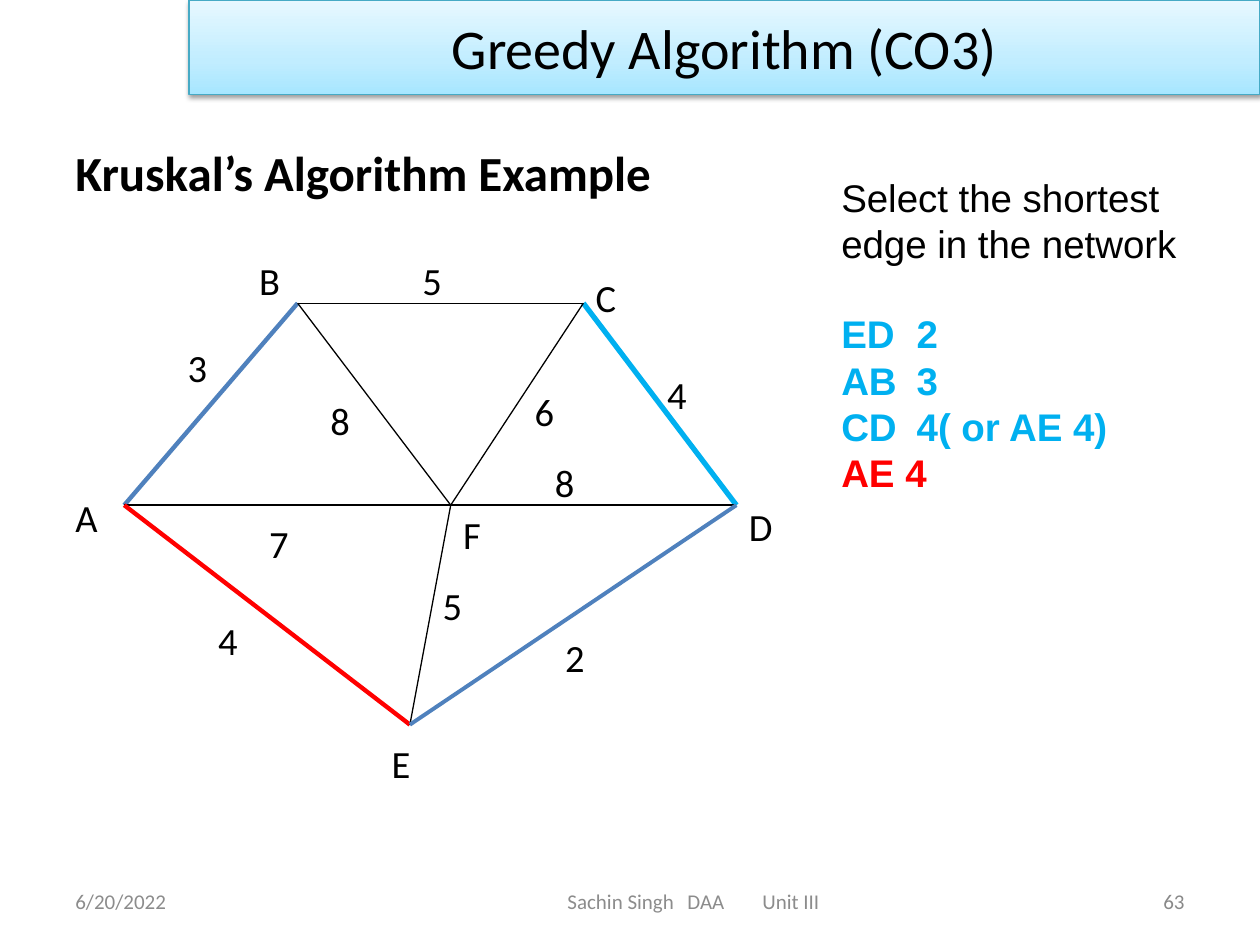
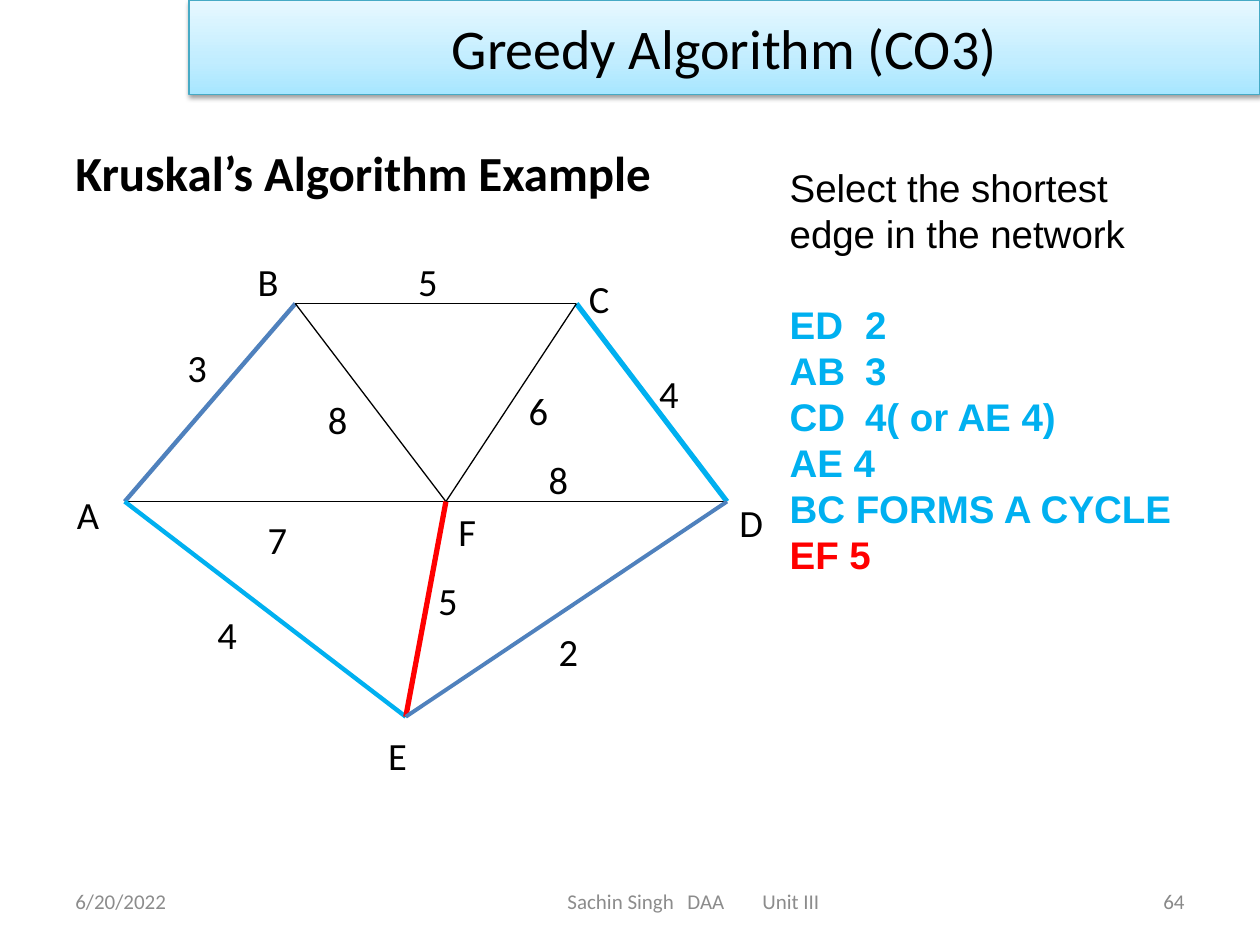
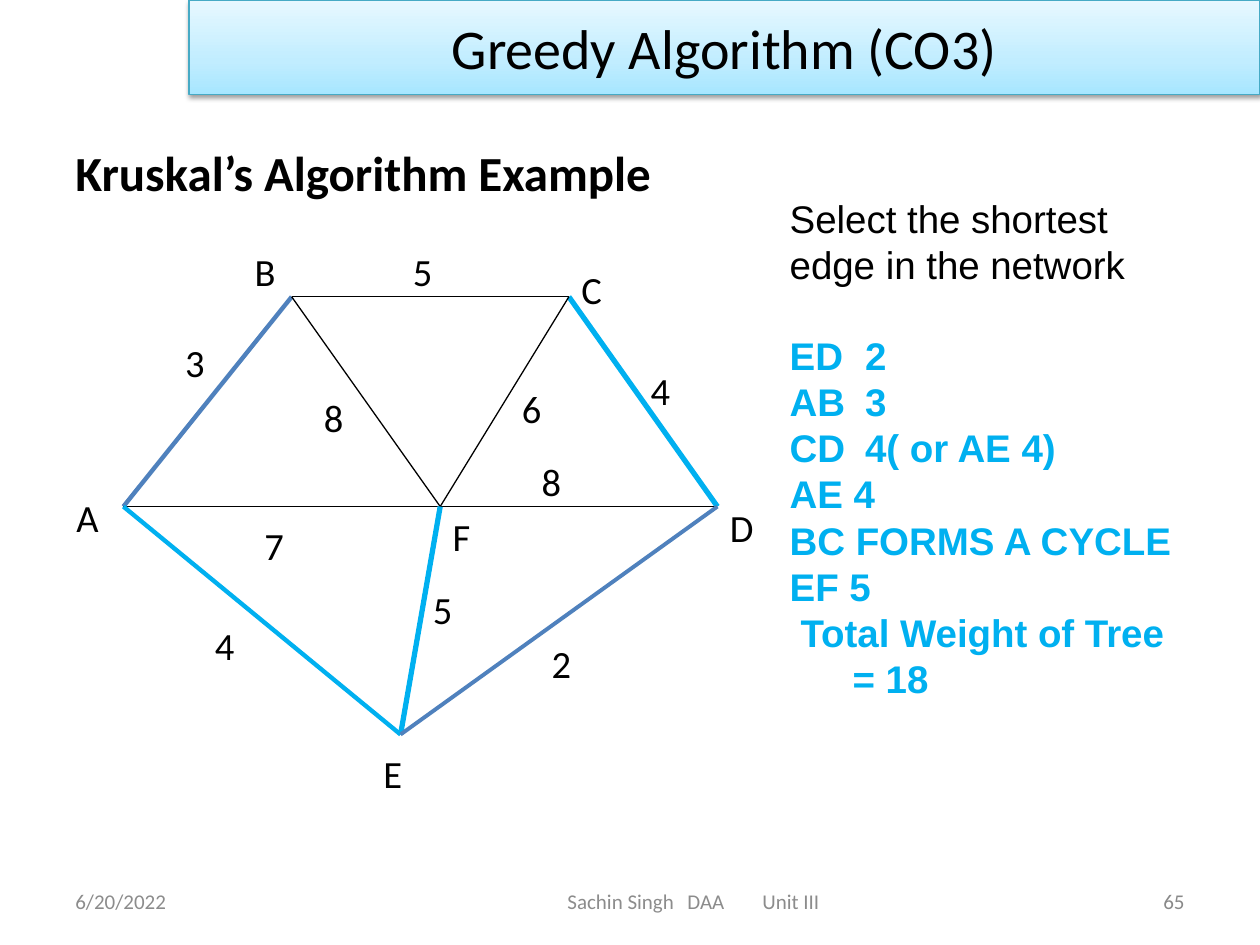
from copy import deepcopy

from lxml import etree
from pptx import Presentation
from pptx import util as u
from pptx.dml import color as dml
from pptx.enum import shapes, text
from pptx.oxml import ns

Cm, Pt = u.Cm, u.Pt

BLACK, GREY, PAGE_GREY = "000000", "8C8C8C", "898989"
BLUE, CYAN, RED = "4F81BD", "00B0F0", "FF0000"
BAND_STOPS = [(0, "A7E6FF"), (0.35, "C1EDFF"), (1, "E7F8FF")]
BAND_LINE = "46AAC5"

# The graph lies on a grid: its box is GRID_COLS wide and GRID_ROWS high.
GRID_COLS, GRID_ROWS = 72, 60
LABEL_COLS, LABEL_HEIGHT = 6, 1.19
# node: (point, top left of its letter)
NODES = {
    "A": ((6, 29), (0, 27)),
    "F": ((38, 29), (38, 29)),
    "B": ((23, 6), (18, 0)),
    "C": ((51, 6), (51, 2)),
    "D": ((66, 29), (66, 28)),
    "E": ((34, 54), (31, 55)),
}
# edge: (weight, top left of its weight, line width once selected)
EDGES = {
    "AB": (3, (11, 10), 2.5),
    "BC": (5, (34, 0), 3),
    "CD": (4, (58, 13), 3),
    "AF": (7, (19, 30), 3),
    "FD": (8, (47, 23), 3),
    "BF": (8, (25, 16), 3),
    "FC": (6, (45, 15), 3),
    "AE": (4, (14, 41), 2.5),
    "EF": (5, (36, 37), 3),
    "ED": (2, (48, 43), 2.25),
}
THIN = 0.75
CHOSEN = {"AB": BLUE, "ED": BLUE, "CD": CYAN}

STEPS = ["ED\t2", "AB\t3", "CD\t4( or AE 4)", "AE 4", "BC FORMS A CYCLE", "EF 5"]
TOTAL = "Total Weight of Tree = 18"
HANGING, TAB_HANGING, TOTAL_SHIFT = 1.27, 1.52, 0.22

# Boxes are left, top, width, height in centimetres.
SLIDES = [
    dict(page=63, graph=(1.27, 5.05, 14.81, 10.62), selected={**CHOSEN, "AE": RED},
         notes=(16.71, 3.38, 8.05, 8.64), steps=STEPS[:4], newest="AE 4"),
    dict(page=64, graph=(1.3, 5.08, 14.57, 10.41),
         selected={**CHOSEN, "AE": CYAN, "EF": RED},
         notes=(15.67, 3.18, 8.89, 10.59), steps=STEPS, newest="EF 5"),
    dict(page=65, graph=(1.29, 4.88, 14.37, 11.03),
         selected={**CHOSEN, "AE": CYAN, "EF": CYAN},
         notes=(15.67, 3.81, 8.26, 12.47), steps=STEPS + [TOTAL], newest=None),
]


def rgb(hex_color):
    return dml.RGBColor.from_string(hex_color)


def write(paragraph, words, size=22, color=BLACK, font="Calibri", bold=False,
          align=text.PP_ALIGN.LEFT):
    paragraph.alignment = align
    run = paragraph.add_run()
    run.text = words
    run.font.size, run.font.name, run.font.bold = Pt(size), font, bold
    run.font.color.rgb = rgb(color)


def text_frame(container, box, anchor=text.MSO_ANCHOR.TOP):
    frame = container.add_textbox(*map(Cm, box)).text_frame
    frame.word_wrap = True
    frame.vertical_anchor = anchor
    return frame


def add_tabs(paragraph, *positions):
    tabs = etree.SubElement(paragraph._p.get_or_add_pPr(), ns.qn("a:tabLst"))
    for position in positions:
        etree.SubElement(tabs, ns.qn("a:tab"), pos=str(Cm(position)), algn="l")


def title_band(slide, box):
    band = slide.shapes.add_shape(shapes.MSO_SHAPE.RECTANGLE, *map(Cm, box))
    band.line.color.rgb, band.line.width = rgb(BAND_LINE), Pt(0.75)

    band.fill.gradient()
    band.fill.gradient_angle = 90
    stop_list = band._element.spPr.find(".//" + ns.qn("a:gsLst"))
    stop_list.append(deepcopy(stop_list[0]))
    for stop, (position, color) in zip(band.fill.gradient_stops, BAND_STOPS):
        stop.position, stop.color.rgb = position, rgb(color)

    band.shadow.inherit = False
    effects = band._element.spPr.find(ns.qn("a:effectLst"))
    shadow = etree.SubElement(effects, ns.qn("a:outerShdw"), blurRad=str(Pt(3.1)),
                              dist=str(Pt(1.6)), dir="5400000", rotWithShape="0")
    shade = etree.SubElement(shadow, ns.qn("a:srgbClr"), val=BLACK)
    etree.SubElement(shade, ns.qn("a:alpha"), val="38000")

    band.text_frame.vertical_anchor = text.MSO_ANCHOR.MIDDLE
    write(band.text_frame.paragraphs[0], "Greedy Algorithm (CO3)", size=32,
          align=text.PP_ALIGN.CENTER)


def footer(slide, box, page):
    left, top, width, height = box
    side = 5.92
    middle = text.MSO_ANCHOR.MIDDLE

    date = text_frame(slide.shapes, (left, top, side, height), middle)
    write(date.paragraphs[0], "6/20/2022", size=12, color=GREY)

    course = text_frame(slide.shapes, (left + 5.72, top, width - 2 * 4.45, height), middle)
    course.margin_left = Cm(4.45)
    add_tabs(course.paragraphs[0], 2.42, 3.93)
    write(course.paragraphs[0], "Sachin Singh\tDAA\tUnit III", size=12, color=GREY)

    number = text_frame(slide.shapes, (left + width - side, top, side, height), middle)
    write(number.paragraphs[0], str(page), size=12, color=PAGE_GREY,
          align=text.PP_ALIGN.RIGHT)


def graph(slide, box, selected):
    """Draw the weighted network; selected maps chosen edges to their colours."""
    left, top, width, height = box
    col, row = width / GRID_COLS, height / GRID_ROWS
    network = slide.shapes.add_group_shape().shapes

    def place(point):
        return left + point[0] * col, top + point[1] * row

    for edge, (_, _, thick) in EDGES.items():
        start, end = (place(NODES[node][0]) for node in edge)
        line = network.add_connector(shapes.MSO_CONNECTOR.STRAIGHT,
                                     *map(Cm, start + end))
        line.line.color.rgb = rgb(selected.get(edge, BLACK))
        line.line.width = Pt(thick if edge in selected else THIN)
        etree.SubElement(line._element.spPr, ns.qn("a:effectLst"))

    labels = [(node, spot) for node, (_, spot) in NODES.items()]
    labels += [(str(weight), spot) for weight, spot, _ in EDGES.values()]
    for label, spot in labels:
        frame = text_frame(network, (*place(spot), LABEL_COLS * col, LABEL_HEIGHT))
        write(frame.paragraphs[0], label)


def selection_notes(slide, box, steps, newest):
    frame = text_frame(slide.shapes, box)
    prompt = ["Select the shortest", "edge in the network"]
    for index, words in enumerate(prompt + steps):
        paragraph = frame.paragraphs[0] if index == 0 else frame.add_paragraph()
        hanging = TAB_HANGING if "\t" in words else HANGING
        shift = TOTAL_SHIFT if words == TOTAL else 0
        properties = paragraph._p.get_or_add_pPr()
        properties.set("marL", str(Cm(hanging)))
        properties.set("indent", str(Cm(shift - hanging)))
        if index == len(prompt):
            paragraph.space_before = Pt(25.3)
        is_step = index >= len(prompt)
        color = RED if words == newest else CYAN if is_step else BLACK
        write(paragraph, words, color=color, font="Arial", bold=is_step)


def example_slide(deck, page, graph_box, selected, notes_box, steps, newest):
    slide = deck.slides.add_slide(deck.slide_layouts[6])
    footer(slide, (1.27, 17.65, 22.86, 1.02), page)
    title_band(slide, (3.81, 0, 21.59, 1.9))
    heading = text_frame(slide.shapes, (1.27, 2.74, 15.44, 1.45))
    write(heading.paragraphs[0], "Kruskal’s Algorithm Example", size=28, bold=True)
    graph(slide, graph_box, selected)
    selection_notes(slide, notes_box, steps, newest)


def main():
    deck = Presentation()
    deck.slide_width, deck.slide_height = Cm(25.4), Cm(19.05)
    for content in SLIDES:
        example_slide(deck, content["page"], content["graph"], content["selected"],
                      content["notes"], content["steps"], content["newest"])
    deck.save("out.pptx")


if __name__ == "__main__":
    main()
